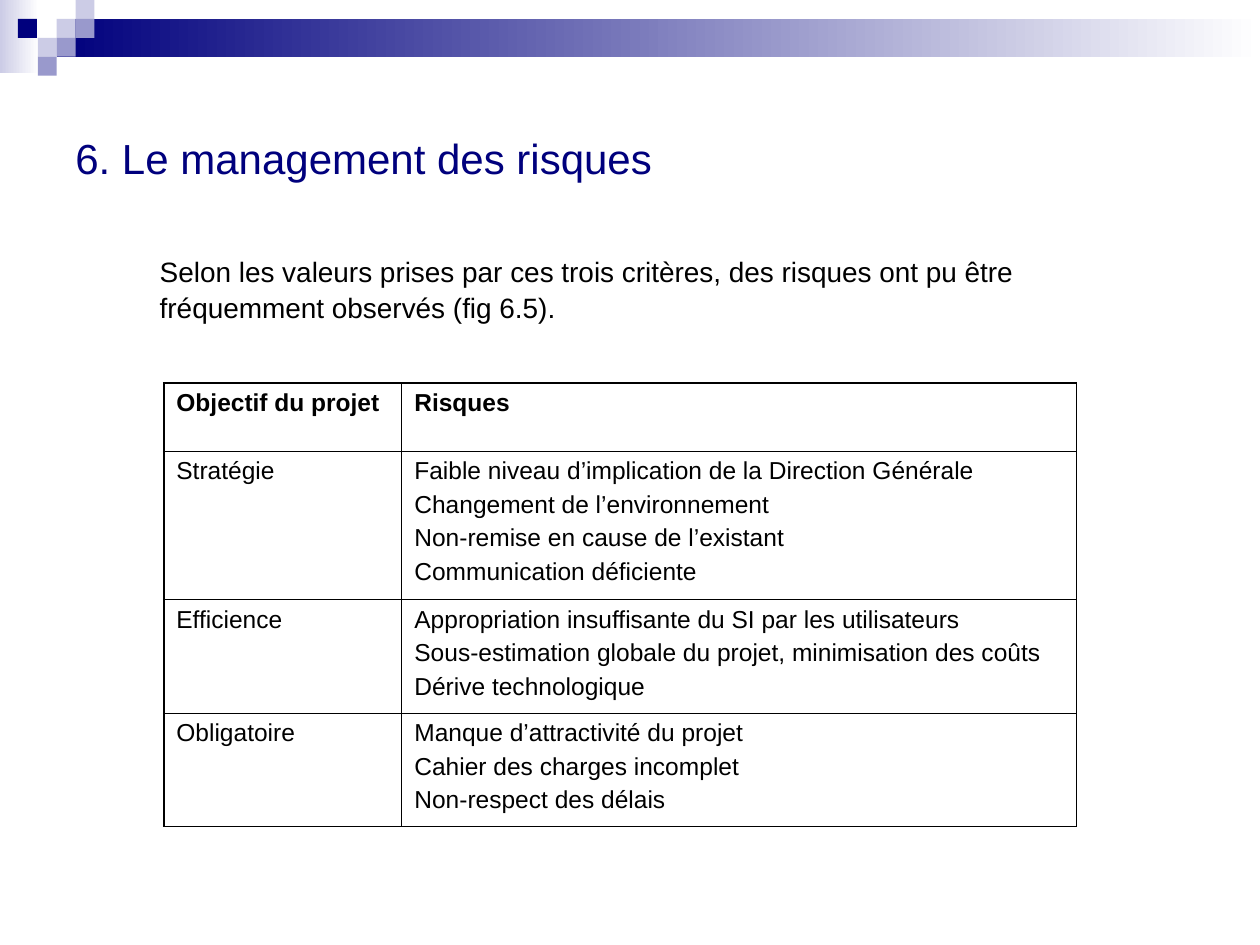
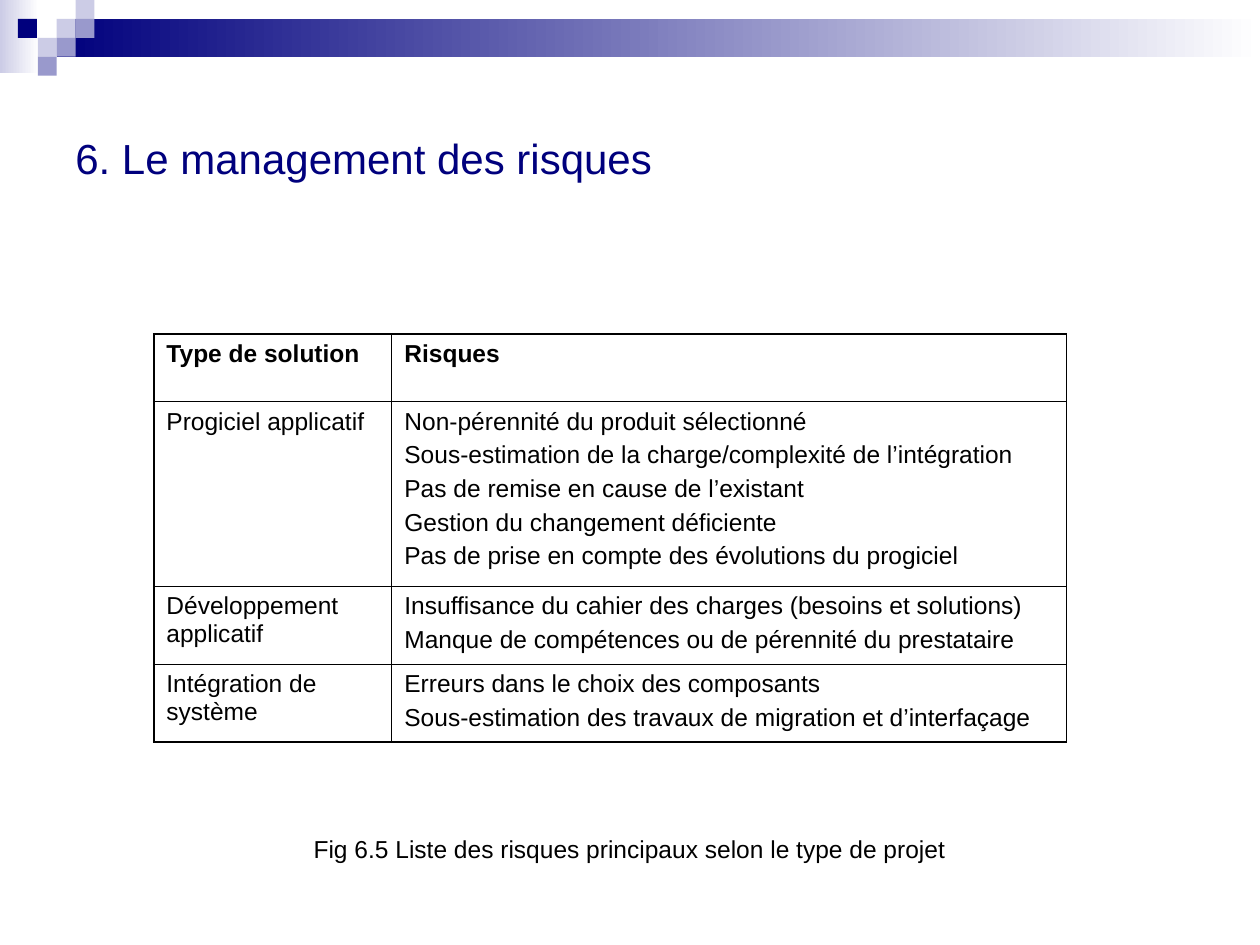
from lxml.etree import SubElement
from pptx import Presentation
from pptx.dml.color import RGBColor
from pptx.enum.shapes import MSO_SHAPE
from pptx.enum.text import MSO_ANCHOR
from pptx.oxml.ns import qn
from pptx.util import Pt

NAVY = RGBColor(0x00, 0x00, 0x7D)
LAVENDER = RGBColor(0xCC, 0xCC, 0xE6)
PERIWINKLE = RGBColor(0x99, 0x99, 0xCC)
WHITE = RGBColor(0xFF, 0xFF, 0xFF)
BLACK = RGBColor(0x00, 0x00, 0x00)

FONT = "Arial"
TITLE = "6. Le management des risques"
SQUARE = 10.8  # side of one mosaic square
MOSAIC = [  # column, row, colour
    (3, 1, LAVENDER), (4, 0, LAVENDER), (4, 1, PERIWINKLE), (2, 2, LAVENDER),
    (0.95, 1, NAVY), (3, 2, PERIWINKLE), (2, 3, PERIWINKLE),
]
COLUMN_WIDTHS = (136, 385.6)
OUTER_LINE, INNER_LINE = 1.08, 0.45


class Deck:
    def __init__(self):
        self.presentation = Presentation()
        self.presentation.slide_width = Pt(720)
        self.presentation.slide_height = Pt(540)
        self.slide = None

    def new_slide(self):
        """Start a slide with its header band, mosaic and title."""
        self.slide = self.presentation.slides.add_slide(
            self.presentation.slide_layouts[6])
        self.rectangle(0, 0, 22.3, 41.8, LAVENDER, WHITE)
        self.rectangle(3 * SQUARE, SQUARE, 720 - 3 * SQUARE, 2 * SQUARE, NAVY, WHITE)
        for column, row, colour in MOSAIC:
            self.rectangle(column * SQUARE, row * SQUARE, SQUARE, SQUARE, colour)
        self.text(TITLE, 36, 36, 648, 108, 24, NAVY, anchor=MSO_ANCHOR.MIDDLE)

    def rectangle(self, left, top, width, height, colour, fade_to=None):
        shape = self.slide.shapes.add_shape(
            MSO_SHAPE.RECTANGLE, Pt(left), Pt(top), Pt(width), Pt(height))
        shape.shadow.inherit = False
        shape.line.fill.background()
        if fade_to is None:
            shape.fill.solid()
            shape.fill.fore_color.rgb = colour
        else:
            shape.fill.gradient()
            shape.fill.gradient_angle = 0
            for stop, stop_colour in zip(shape.fill.gradient_stops, (colour, fade_to)):
                stop.color.rgb = stop_colour

    def style(self, paragraph, size, colour=BLACK, bold=False):
        font = paragraph.font
        font.name, font.size, font.bold = FONT, Pt(size), bold
        font.color.rgb = colour

    def text(self, content, left, top, width, height, size, colour=BLACK,
             anchor=MSO_ANCHOR.TOP, wrap=True, line_spacing=None):
        frame = self.slide.shapes.add_textbox(
            Pt(left), Pt(top), Pt(width), Pt(height)).text_frame
        frame.word_wrap = wrap
        frame.vertical_anchor = anchor
        paragraph = frame.paragraphs[0]
        paragraph.text = content
        if line_spacing:
            paragraph.line_spacing = Pt(line_spacing)
        self.style(paragraph, size, colour)

    def borders(self, cell, widths):
        """Draw the left, right, top and bottom lines of a cell."""
        properties = cell._tc.get_or_add_tcPr()
        for position, (side, width) in enumerate(zip(("lnL", "lnR", "lnT", "lnB"), widths)):
            line = SubElement(properties, qn(f"a:{side}"), w=str(Pt(width)))
            fill = SubElement(line, qn("a:solidFill"))
            SubElement(fill, qn("a:srgbClr"), val=str(BLACK))
            properties.remove(line)
            properties.insert(position, line)

    def risk_table(self, left, top, row_heights, heading, risks):
        """Tabulate the risks of each kind of project under a bold heading."""
        rows = [(heading, ["Risques"]), *risks]
        last_row, last_column = len(rows) - 1, len(COLUMN_WIDTHS) - 1
        table = self.slide.shapes.add_table(
            len(rows), len(COLUMN_WIDTHS), Pt(left), Pt(top),
            Pt(sum(COLUMN_WIDTHS)), Pt(sum(row_heights))).table
        table.first_row = table.horz_banding = False
        for column, width in zip(table.columns, COLUMN_WIDTHS):
            column.width = Pt(width)
        for r, (category, category_risks) in enumerate(rows):
            table.rows[r].height = Pt(row_heights[r])
            for c, lines in enumerate(([category], category_risks)):
                cell = table.cell(r, c)
                cell.fill.background()
                on_edge = (c == 0, c == last_column, r == 0, r == last_row)
                self.borders(cell, [OUTER_LINE if edge else INNER_LINE for edge in on_edge])
                cell.text = "\n".join(lines)
                for i, paragraph in enumerate(cell.text_frame.paragraphs):
                    if i:
                        paragraph.space_before = Pt(3.5)
                    self.style(paragraph, 14, bold=r == 0)


def main():
    deck = Deck()

    # Risks by project objective
    deck.new_slide()
    deck.text("Selon les valeurs prises par ces trois critères, des risques ont pu "
              "être fréquemment observés (fig 6.5).",
              84.2, 140.6, 580, 50, 16, line_spacing=20.5)
    deck.risk_table(93.6, 218.9, (38.8, 85, 64.8, 64.8), "Objectif du projet", [
        ("Stratégie", [
            "Faible niveau d’implication de la Direction Générale",
            "Changement de l’environnement",
            "Non-remise en cause de l’existant",
            "Communication déficiente"]),
        ("Efficience", [
            "Appropriation insuffisante du SI par les utilisateurs",
            "Sous-estimation globale du projet, minimisation des coûts",
            "Dérive technologique"]),
        ("Obligatoire", [
            "Manque d’attractivité du projet",
            "Cahier des charges incomplet",
            "Non-respect des délais"]),
    ])

    # Risks by type of solution
    deck.new_slide()
    deck.risk_table(87.9, 190.8, (38.8, 105, 44.6, 44.6), "Type de solution", [
        ("Progiciel applicatif", [
            "Non-pérennité du produit sélectionné",
            "Sous-estimation de la charge/complexité de l’intégration",
            "Pas de remise en cause de l’existant",
            "Gestion du changement déficiente",
            "Pas de prise en compte des évolutions du progiciel"]),
        ("Développement applicatif", [
            "Insuffisance du cahier des charges (besoins et solutions)",
            "Manque de compétences ou de pérennité du prestataire"]),
        ("Intégration de système", [
            "Erreurs dans le choix des composants",
            "Sous-estimation des travaux de migration et d’interfaçage"]),
    ])
    deck.text("Fig 6.5 Liste des risques principaux selon le type de projet",
              172.1, 473, 375.8, 24.5, 14, wrap=False)

    deck.presentation.save("out.pptx")


if __name__ == "__main__":
    main()
